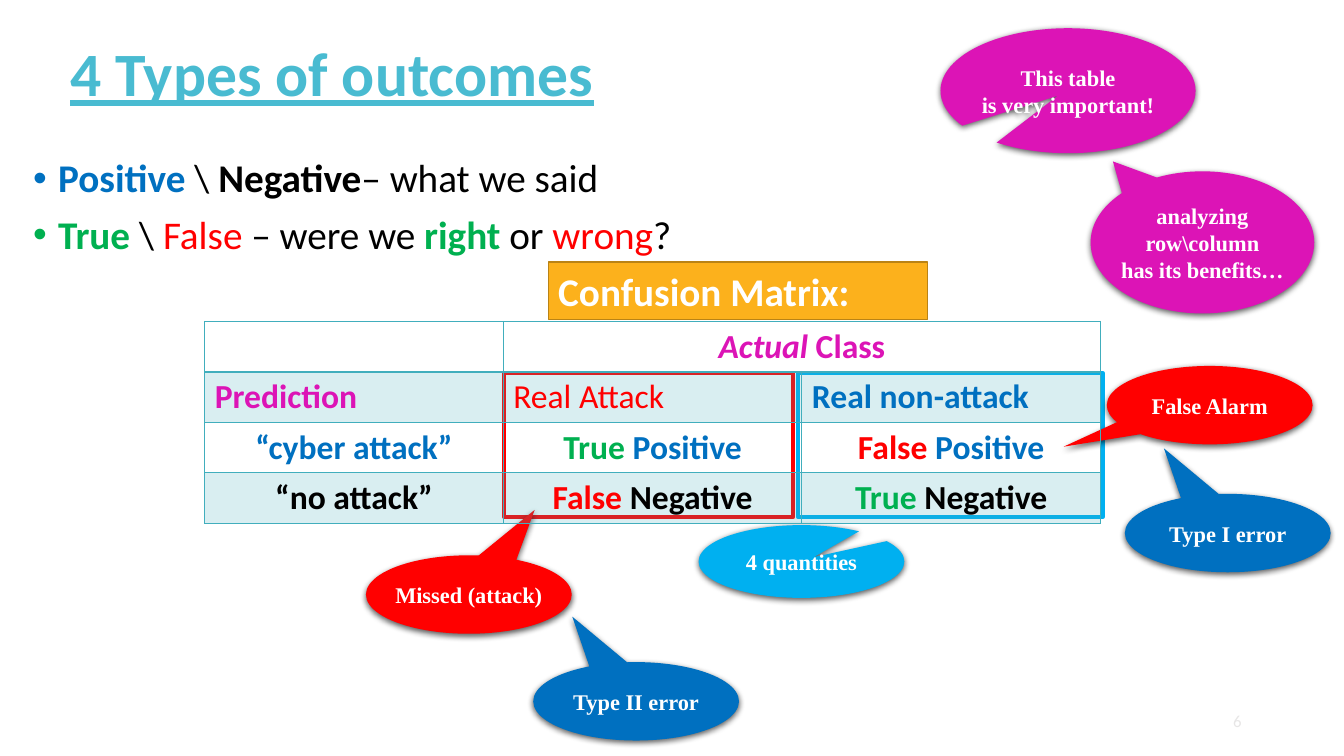
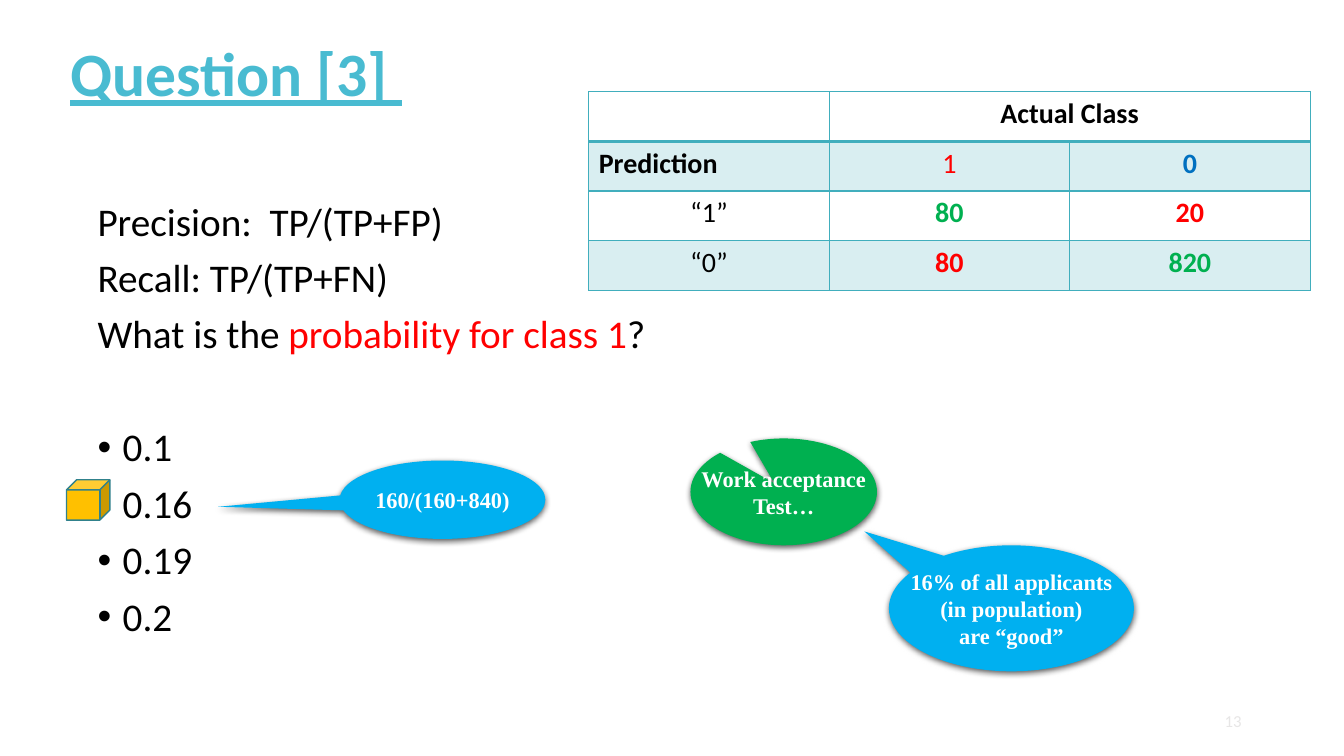
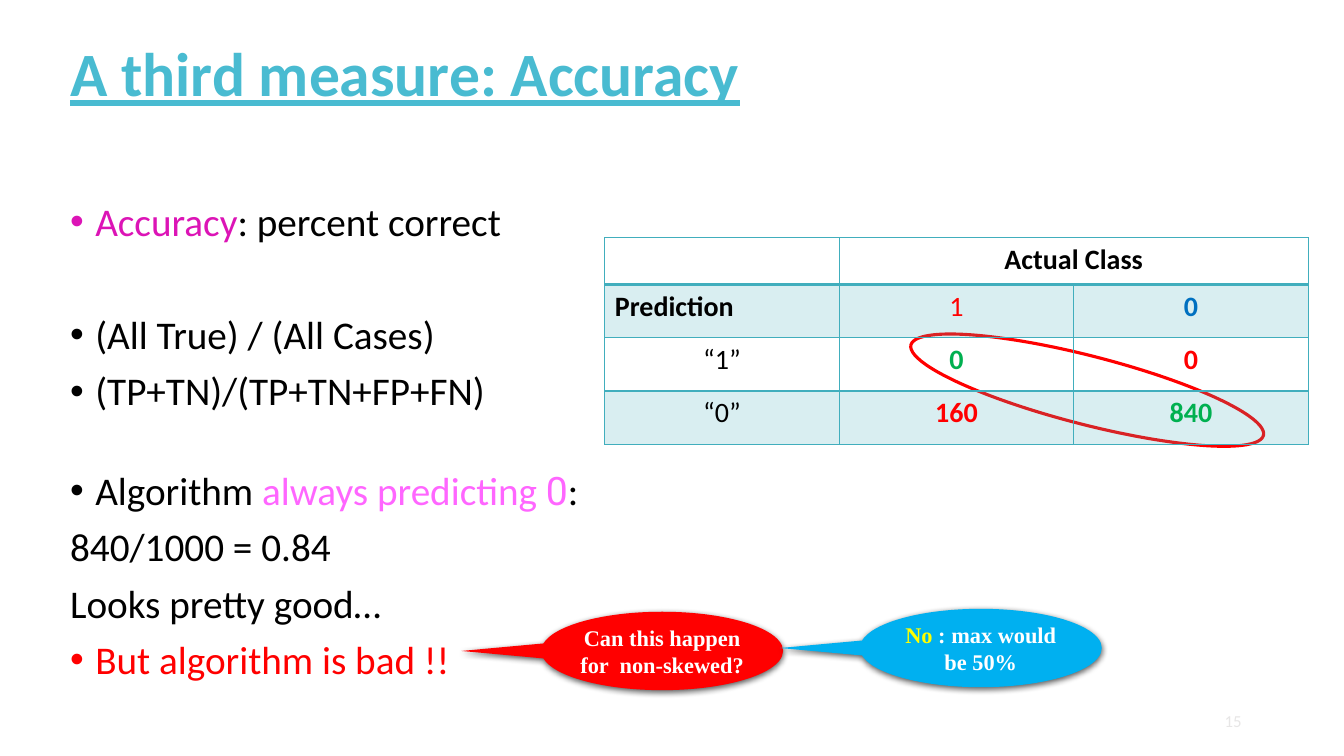
from lxml import etree
from pptx import Presentation
from pptx.dml.color import RGBColor
from pptx.enum.shapes import MSO_SHAPE
from pptx.enum.text import MSO_ANCHOR, PP_ALIGN
from pptx.oxml.ns import qn
from pptx.util import Pt

RECTANGLE, ELLIPSE = MSO_SHAPE.RECTANGLE, MSO_SHAPE.OVAL
CUBE, CALLOUT = MSO_SHAPE.CUBE, MSO_SHAPE.OVAL_CALLOUT
LEFT, CENTER, RIGHT = PP_ALIGN.LEFT, PP_ALIGN.CENTER, PP_ALIGN.RIGHT
TOP, MIDDLE = MSO_ANCHOR.TOP, MSO_ANCHOR.MIDDLE

COLORS = {
    "title": "49BBD1", "black": "000000", "white": "FFFFFF", "red": "FF0000",
    "green": "00B050", "blue": "0070C0", "sky": "00B0F0", "magenta": "DC14B6",
    "pink": "FF66FF", "yellow": "FFFF00", "gold": "FFC000", "orange": "FCB11C",
    "brown": "BA8315", "teal": "41AEBD", "dark_teal": "30818C", "pale": "E7E6E6",
}
BODY_FONT, CALLOUT_FONT, DIGIT_FONT = "Calibri", "Times New Roman", "Roboto"
BULLET_INDENT = 18
LINE_GAP = 10
SMALL_CALLOUT = (147, 56)


def rgb(name):
    return RGBColor.from_string(COLORS[name])


def add_element(parent, tag, **attributes):
    element = etree.SubElement(parent, qn(tag))
    for key, value in attributes.items():
        element.set(key, str(value))
    return element


class Deck:
    def __init__(self):
        self.presentation = Presentation()
        self.presentation.slide_width = Pt(960)
        self.presentation.slide_height = Pt(540)
        self.slide = None

    def add_text(self, paragraph, content, size, style="black", font=BODY_FONT, align=LEFT):
        """Fill a paragraph from a string or from (text, style words) pairs."""
        paragraph.alignment = align
        runs = [(content, style)] if isinstance(content, str) else content
        for text, words in runs:
            color, *marks = words.split()
            run = paragraph.add_run()
            run.text = text
            run.font.name = DIGIT_FONT if "digit" in marks else font
            run.font.size = Pt(size)
            run.font.bold = "bold" in marks
            run.font.italic = "italic" in marks
            run.font.underline = "underline" in marks
            run.font.color.rgb = rgb(color)

    def new_slide(self, title, number):
        self.slide = self.presentation.slides.add_slide(self.presentation.slide_layouts[5])
        shape = self.slide.shapes.title
        shape.left, shape.top, shape.width, shape.height = Pt(43), Pt(0), Pt(891), Pt(109.5)
        frame = shape.text_frame
        frame.word_wrap = True
        frame.vertical_anchor = MIDDLE
        frame.paragraphs[0].line_spacing = 0.9
        self.add_text(frame.paragraphs[0], title, 44, "title bold underline")
        frame = self.text_box(678, 500.5, 216, 29)
        frame.vertical_anchor = MIDDLE
        self.add_text(frame.paragraphs[0], number, 12, "pale", align=RIGHT)

    def text_box(self, *box):
        frame = self.slide.shapes.add_textbox(*map(Pt, box)).text_frame
        frame.word_wrap = True
        return frame

    def body(self, left, top, height, lines):
        """Lines are (content, bulleted, extra space before)."""
        frame = self.text_box(left, top, 840, height)
        for index, (content, bulleted, extra) in enumerate(lines):
            paragraph = frame.add_paragraph() if index else frame.paragraphs[0]
            if bulleted:
                properties = paragraph._p.get_or_add_pPr()
                properties.set("marL", str(Pt(BULLET_INDENT)))
                properties.set("indent", str(-Pt(BULLET_INDENT)))
                add_element(properties, "a:buFont", typeface="Arial")
                add_element(properties, "a:buChar", char="•")
            paragraph.line_spacing = 0.9
            if index:
                paragraph.space_before = Pt(LINE_GAP + extra)
            self.add_text(paragraph, content, 28)

    def shape(self, kind, box, fill=None, line=None, weight=1):
        shape = self.slide.shapes.add_shape(kind, *map(Pt, box))
        shape.shadow.inherit = False
        if fill:
            shape.fill.solid()
            shape.fill.fore_color.rgb = rgb(fill)
        else:
            shape.fill.background()
        if line:
            shape.line.color.rgb = rgb(line)
            shape.line.width = Pt(weight)
        else:
            shape.line.fill.background()
        return shape

    def label(self, box, text):
        frame = self.shape(RECTANGLE, box, "orange", "brown").text_frame
        frame.vertical_anchor = TOP
        self.add_text(frame.paragraphs[0], text, 28, "white bold")

    def callout(self, fill, position, tail, *lines, size=SMALL_CALLOUT):
        shape = self.shape(CALLOUT, position + size, fill)
        shape.adjustments[0], shape.adjustments[1] = tail
        effects = shape._element.spPr.find(qn("a:effectLst"))
        shadow = add_element(effects, "a:outerShdw", blurRad=Pt(4.5), dist=Pt(1.5),
                             dir=5400000, algn="ctr", rotWithShape=0)
        color = add_element(shadow, "a:srgbClr", val=COLORS["black"])
        add_element(color, "a:alpha", val=63000)
        frame = shape.text_frame
        frame.word_wrap = False
        frame.vertical_anchor = MIDDLE
        for index, line in enumerate(lines):
            paragraph = frame.add_paragraph() if index else frame.paragraphs[0]
            self.add_text(paragraph, line, 16, "white bold", CALLOUT_FONT, CENTER)

    def table(self, left, top, column_width, row_heights, size, rows, left_cells):
        """Draw a confusion matrix; left_cells holds the (row, column) set aligned left."""
        frame = self.slide.shapes.add_table(
            len(rows), 3, Pt(left), Pt(top), Pt(3 * column_width), Pt(sum(row_heights)))
        table = frame.table
        table.first_row = table.horz_banding = False
        for column in table.columns:
            column.width = Pt(column_width)
        for row, height in zip(table.rows, row_heights):
            row.height = Pt(height)
        table.cell(0, 1).merge(table.cell(0, 2))
        for row_index, row in enumerate(rows):
            for column_index, content in enumerate(row):
                cell = table.cell(row_index, column_index)
                self.format_cell(cell, row_index)
                if content:
                    align = LEFT if (row_index, column_index) in left_cells else CENTER
                    self.add_text(cell.text_frame.paragraphs[0], content, size, "black bold",
                                  align=align)

    def format_cell(self, cell, row_index):
        properties = cell._tc.get_or_add_tcPr()
        for side in "LRTB":
            under_header = (row_index, side) in ((0, "B"), (1, "T"))
            border = add_element(properties, f"a:ln{side}", w=Pt(2 if under_header else 1))
            fill = add_element(border, "a:solidFill")
            add_element(fill, "a:srgbClr", val=COLORS["teal"])
        if row_index % 2:
            cell.fill.solid()
            cell.fill.fore_color.rgb = rgb("teal")
            add_element(properties.find(qn("a:solidFill")).find(qn("a:srgbClr")),
                        "a:alpha", val=20000)
        else:
            cell.fill.background()

    def count_table(self, left, top, column_width, row_heights, counts):
        """Draw the matrix for counts (TP, FP, FN, TN)."""
        true_positive, false_positive, false_negative, true_negative = counts
        rows = [
            [None, "Actual Class", None],
            ["Prediction", [("1", "red")], [("0", "blue bold")]],
            [[("“1”", "black")], [(true_positive, "green bold")], [(false_positive, "red bold")]],
            [[("“0”", "black")], [(false_negative, "red bold")], [(true_negative, "green bold")]],
        ]
        self.table(left, top, column_width, row_heights, 20, rows, {(1, 0)})


def outcomes_slide(deck):
    deck.new_slide("4 Types of outcomes", "6")
    deck.body(16.5, 110, 80, [
        ([("Positive", "blue bold"), (" \\ ", "black"), ("Negative", "black bold"),
          ("– what we said", "black")], True, 0),
        ([("True", "green bold"), (" \\ ", "black"), ("False", "red"),
          (" – were we ", "black"), ("right", "green bold"), (" or ", "black"),
          ("wrong", "red"), ("?", "black")], True, 0),
    ])
    deck.shape(RECTANGLE, (360, 266.4, 206.6, 103), line="red", weight=2.75)
    deck.shape(RECTANGLE, (570.2, 266.4, 217.4, 103), line="sky", weight=3)
    deck.callout("red", (790.6, 261.4), (-0.71, 0.53), "False Alarm")
    deck.label((391.7, 187.2, 270.7, 41), "Confusion Matrix:")
    deck.callout("red", (261.4, 396.7), (0.32, -1.08), "Missed (attack)")
    deck.callout("blue", (803.5, 352.8), (-0.31, -1.08), "Type I error")
    deck.callout("blue", (380.9, 473), (-0.31, -1.08), "Type II error")
    deck.callout("magenta", (671.8, 20.2), (-0.04, 0.04), "This table",
                 "is very important!", size=(182.2, 89.3))
    deck.callout("sky", (499, 375.1), (0.06, -0.06), "4 quantities", size=(147, 52))
    deck.callout("magenta", (779, 122.4), (-0.4, -0.57), "analyzing", "row\\column",
                 "has its benefits…", size=(159.8, 101.5))
    deck.table(146.2, 229.7, 213.3, [36] * 4, 24, [
        [None, [("Actual", "magenta bold italic"), (" Class", "magenta bold")], None],
        [[("Prediction", "magenta bold")], [("Real Attack", "red")],
         [("Real non-attack", "blue bold")]],
        [[("“cyber attack”", "blue bold")],
         [("True ", "green bold"), ("Positive", "blue bold")],
         [("False ", "red bold"), ("Positive", "blue bold")]],
        ["“no attack”",
         [("False ", "red bold"), ("Negative", "black bold")],
         [("True ", "green bold"), ("Negative", "black bold")]],
    ], {(1, 0), (1, 1), (1, 2)})


def question_slide(deck):
    deck.new_slide("Question [3] ", "13")
    deck.body(62.6, 141, 330, [
        ("Precision:  TP/(TP+FP)", False, 0),
        ("Recall: TP/(TP+FN)", False, 0),
        ([("What is the ", "black"), ("probability for class 1", "red"), ("?", "black")],
         False, 0),
        ("0.1", True, 40.5),
        ("0.16", True, 0),
        ("0.19", True, 0),
        ("0.2", True, 0),
    ])
    deck.shape(CUBE, (47.5, 342.7, 31, 28.8), "gold", "dark_teal")
    deck.callout("sky", (242.6, 329), (-1.09, 0.09), "160/(160+840)")
    deck.callout("green", (493.2, 313.2), (-0.05, -0.08), "Work acceptance", "Test…",
                 size=(133.2, 76.3))
    deck.callout("sky", (635, 389.5), (-0.6, -0.61), "16% of all applicants",
                 "(in population)", "are “good”", size=(175, 90))
    deck.count_table(420.5, 65.5, 171.8, [35.5] * 4, ("80", "20", "80", "820"))


def accuracy_slide(deck):
    deck.new_slide("A third measure: Accuracy", "15")
    deck.body(43, 141, 360, [
        ([("Accuracy", "magenta"), (": percent correct", "black")], True, 0),
        ("(All True) / (All Cases)", True, 40.5),
        ("(TP+TN)/(TP+TN+FP+FN)", True, 0),
        ([("Algorithm ", "black"), ("always predicting ", "pink"), ("0", "pink digit"),
          (":", "black")], True, 31),
        ("840/1000 = 0.84", False, 0),
        ("Looks pretty good…", False, 0),
        ([("But algorithm is bad !!", "red")], True, 0),
    ])
    deck.shape(ELLIPSE, (646.6, 254.2, 260, 49), line="red", weight=2.25).rotation = 14.4
    wide = (172.8, 56)
    deck.callout("red", (386.6, 437), (-0.83, 0), "Can this happen",
                 "for  non-skewed?", size=wide)
    deck.callout("sky", (614.2, 434.9), (-0.83, 0),
                 [("No", "yellow bold"), (" : max would", "white bold")], "be 50%", size=wide)
    deck.count_table(432, 169.9, 167.5, [33.4, 38, 38, 38], ("0", "0", "160", "840"))


def main():
    deck = Deck()
    outcomes_slide(deck)
    question_slide(deck)
    accuracy_slide(deck)
    deck.presentation.save("out.pptx")


if __name__ == "__main__":
    main()
